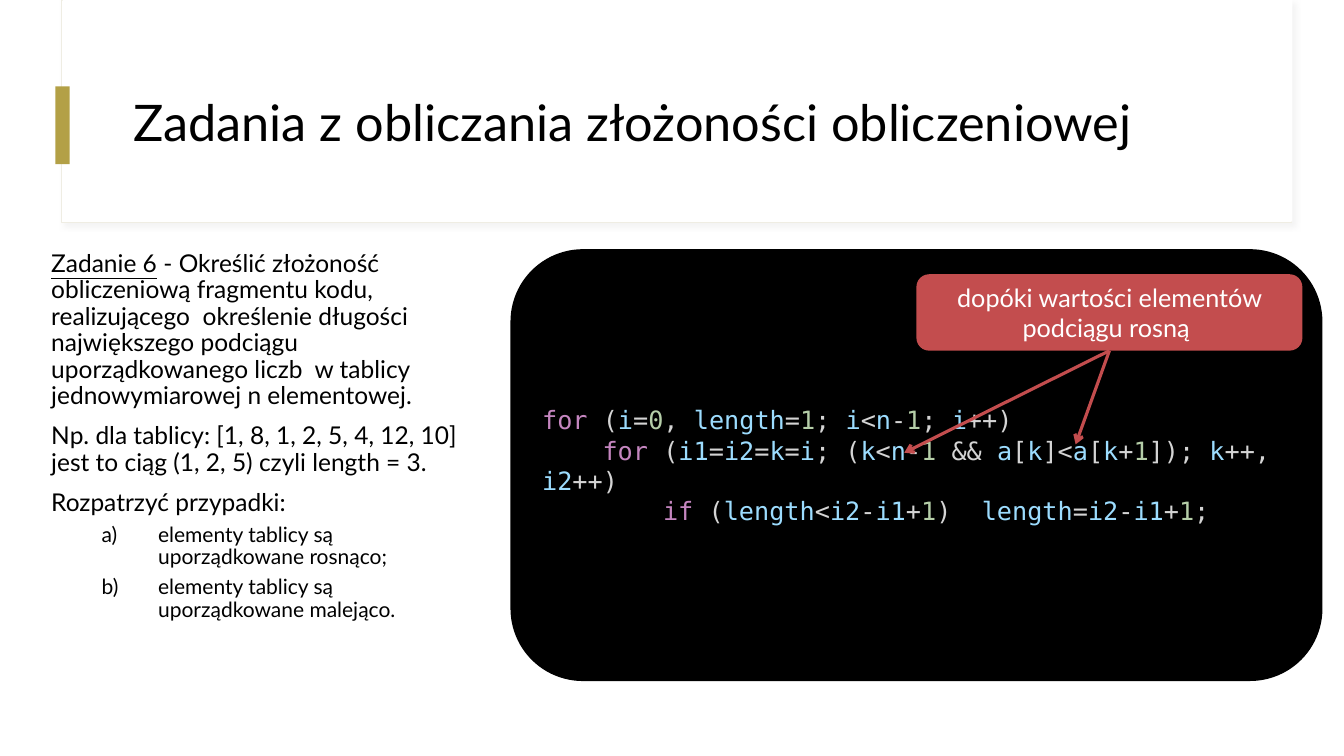
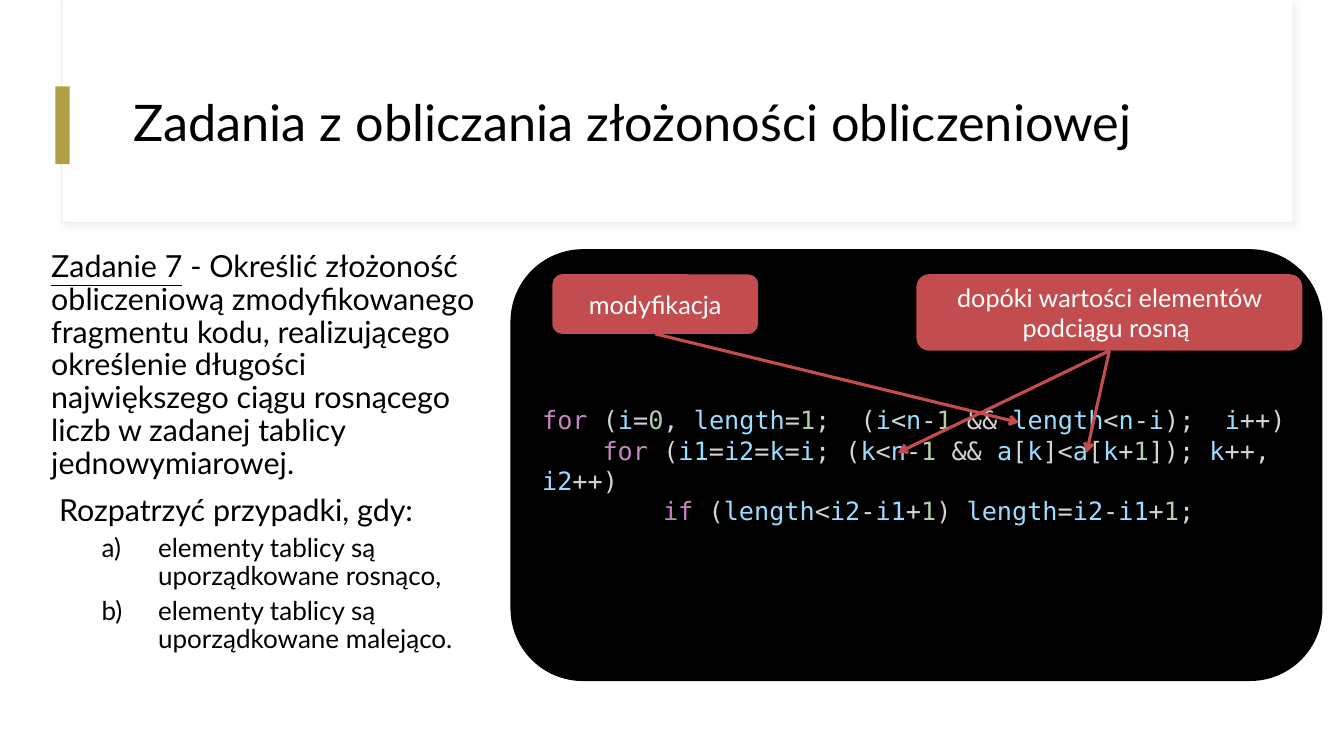
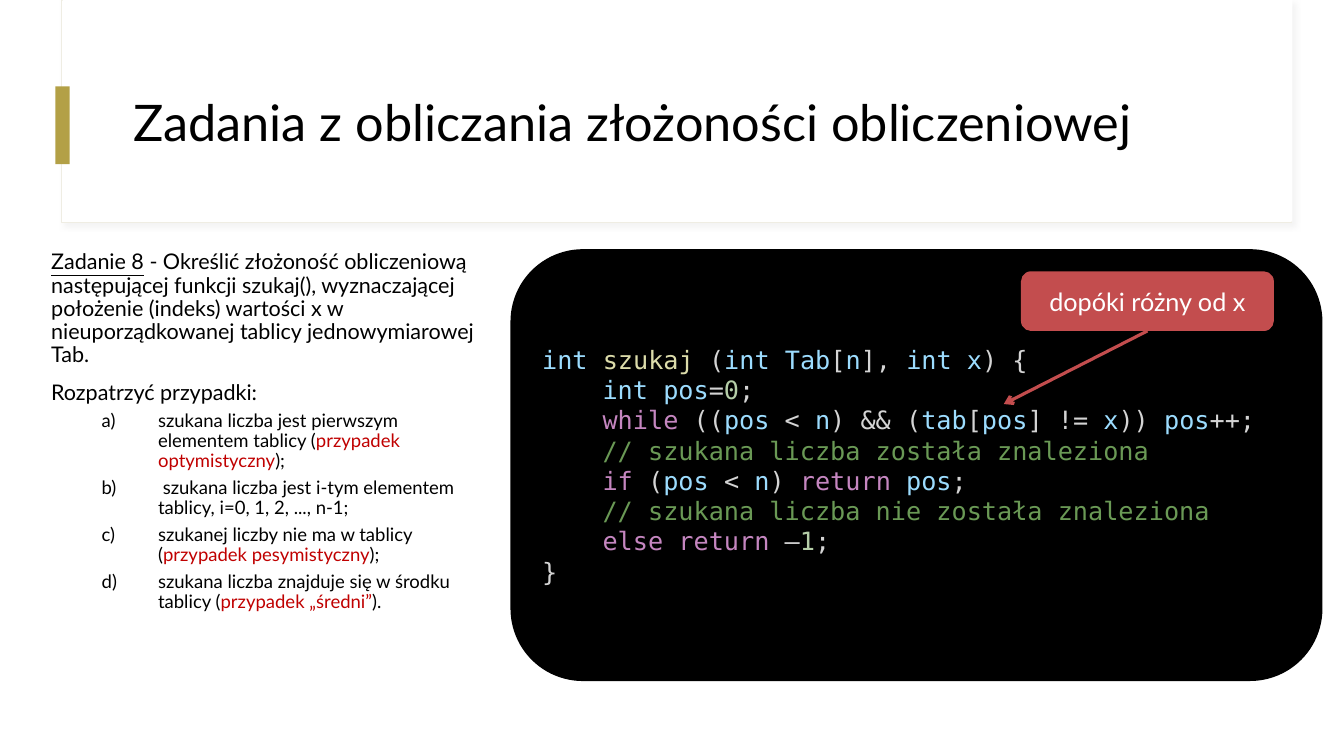
import itertools

import pptx
import pptx.dml.color
import pptx.enum.shapes
import pptx.enum.text
import pptx.oxml
import pptx.oxml.ns
import pptx.util

COLORS = {
    "paper": "FFFFFF", "ink": "000000", "accent": "B3A046", "frame": "EFEDE3",
    "callout": "C34D4E", "case": "C00000",
    "keyword": "C586C0", "name": "9CDCFE", "number": "B5CEA8",
    "symbol": "D4D4D4", "function": "DCDCAA", "comment": "6A9955",
}
TEXT_FONT, CODE_FONT = "Lato", "DejaVu Sans Mono"
COLUMNS, ROWS = 32, 18
TITLE = "Zadania z obliczania złożoności obliczeniowej"
KEYWORDS = {"for", "if", "while", "return", "else"}
FUNCTIONS = {"szukaj"}
DRAWING = 'xmlns:a="http://schemas.openxmlformats.org/drawingml/2006/main"'
SHADOW = (f'<a:effectLst {DRAWING}><a:outerShdw blurRad="50800" dist="38100" dir="2700000">'
          '<a:srgbClr val="D9D9D9"><a:alpha val="30000"/></a:srgbClr>'
          '</a:outerShdw></a:effectLst>')


def color(name):
    return pptx.dml.color.RGBColor.from_string(COLORS[name])


def add_span(para, text, size=18, font=TEXT_FONT, ink="ink", underline=None):
    span = para.add_run()
    span.text = text
    span.font.size = pptx.util.Pt(size)
    span.font.name = font
    span.font.underline = underline
    span.font.color.rgb = color(ink)


def code_tokens(line):
    """Yield (text, colour name) pairs for one line of code."""
    if line.startswith("//"):
        yield line, "comment"
        return
    for is_word, letters in itertools.groupby(line, str.isalnum):
        token = "".join(letters)
        if not is_word:
            yield token, "symbol"
        elif token.isdigit():
            yield token, "number"
        elif token in KEYWORDS:
            yield token, "keyword"
        else:
            yield token, "function" if token in FUNCTIONS else "name"


class TaskDeck:
    """Holds the shared style and the current slide."""

    def __init__(self):
        self.deck = pptx.Presentation()
        self.deck.slide_width = pptx.util.Inches(13.33)
        self.deck.slide_height = pptx.util.Inches(7.5)
        self.layout = self.deck.slide_layouts[1]
        self.page = None
        self.place_layout()

    def col(self, count):
        return round(self.deck.slide_width * count / COLUMNS)

    def row(self, count):
        return round(self.deck.slide_height * count / ROWS)

    def area(self, left, top, width, height):
        return self.col(left), self.row(top), self.col(width), self.row(height)

    def place_layout(self):
        """Set the title and body places and drop the unused footers."""
        places = {0: (2.93, 1.44, 26.69, 3.1), 1: (0.98, 5.86, 10.8, 10.25)}
        for holder in list(self.layout.placeholders):
            index = holder.placeholder_format.idx
            if index in places:
                (holder.left, holder.top,
                 holder.width, holder.height) = self.area(*places[index])
            else:
                holder.element.getparent().remove(holder.element)

    def add_header(self):
        """Draw the title frame and accent bar, then hand them to the layout."""
        frame = self.add_box(1.46, 0, 29.3, 5.3, fill="paper", line="frame", line_width=0.75)
        effects = frame.element.spPr.find(pptx.oxml.ns.qn("a:effectLst"))
        frame.element.spPr.replace(effects, pptx.oxml.parse_xml(SHADOW))
        cover = self.add_box(1.49, 0, 29.28, 5.28, fill="paper")
        bar = self.add_box(1.32, 2.06, 0.34, 1.85, fill="accent")
        for position, box in enumerate((frame, cover, bar), start=2):
            self.layout.shapes.element.insert(position, box.element)

    def add_page(self):
        first = self.page is None
        self.page = self.deck.slides.add_slide(self.layout)
        if first:
            self.add_header()
        frame = self.page.shapes.title.text_frame
        frame.auto_size = pptx.enum.text.MSO_AUTO_SIZE.NONE
        frame.vertical_anchor = pptx.enum.text.MSO_ANCHOR.MIDDLE
        para = frame.paragraphs[0]
        para.alignment = pptx.enum.text.PP_ALIGN.LEFT
        para.line_spacing = 0.9
        add_span(para, TITLE, size=36)

    def add_box(self, left, top, width, height, fill, line=None, line_width=1, rounded=False):
        kinds = pptx.enum.shapes.MSO_SHAPE
        box = self.page.shapes.add_shape(
            kinds.ROUNDED_RECTANGLE if rounded else kinds.RECTANGLE,
            *self.area(left, top, width, height))
        box.shadow.inherit = False
        box.fill.solid()
        box.fill.fore_color.rgb = color(fill)
        if line:
            box.line.color.rgb = color(line)
            box.line.width = pptx.util.Pt(line_width)
        else:
            box.line.fill.background()
        box.text_frame.vertical_anchor = pptx.enum.text.MSO_ANCHOR.MIDDLE
        return box

    def add_body_para(self, spans, size, lettered=False):
        frame = self.page.placeholders[1].text_frame
        para = frame.paragraphs[0] if not frame.text else frame.add_paragraph()
        para.level = 1 if lettered else 0
        para.line_spacing = 0.9
        para.space_before = pptx.util.Pt(5 if lettered else 10)
        margin, indent = (1.06, -0.56) if lettered else (0, 0)
        marks = para._p.get_or_add_pPr()
        marks.set("marL", str(pptx.util.Inches(margin)))
        marks.set("indent", str(pptx.util.Inches(indent)))
        bullet = 'buAutoNum type="alphaLcParenR"' if lettered else "buNone"
        marks.append(pptx.oxml.parse_xml(f"<a:{bullet} {DRAWING}/>"))
        for text, options in spans:
            add_span(para, text, size=size, **options)

    def add_task(self, label, task, notes, cases, size, case_size):
        """Fill the body: underlined label, task text, notes, lettered cases."""
        frame = self.page.placeholders[1].text_frame
        frame.auto_size = pptx.enum.text.MSO_AUTO_SIZE.NONE
        self.add_body_para([(label, {"underline": True}), (task, {})], size)
        for note in notes:
            self.add_body_para([(note, {})], size)
        for case in cases:
            # Every second part of a case is highlighted
            spans = [(text, {"ink": "case" if i % 2 else "ink"}) for i, text in enumerate(case)]
            self.add_body_para(spans, case_size, lettered=True)

    def add_code(self, lines):
        """Draw the code panel from (indent level, text) lines."""
        panel = self.add_box(12.17, 5.95, 19.3, 10.25, fill="ink", line="ink", rounded=True)
        frame = panel.text_frame
        for number, (level, line) in enumerate(lines):
            para = frame.add_paragraph() if number else frame.paragraphs[0]
            para.alignment = pptx.enum.text.PP_ALIGN.LEFT
            para._p.get_or_add_pPr().set("indent", str(pptx.util.Inches(0.6 * level)))
            for token, ink in code_tokens(line):
                add_span(para, token, font=CODE_FONT, ink=ink)

    def add_callout(self, text, place, targets):
        """Draw a note with arrows from its bottom centre to the targets."""
        box = self.add_box(*place, fill="callout", rounded=True)
        para = box.text_frame.paragraphs[0]
        para.alignment = pptx.enum.text.PP_ALIGN.CENTER
        add_span(para, text, ink="paper")
        for left, top in targets:
            arrow = self.page.shapes.add_connector(
                pptx.enum.shapes.MSO_CONNECTOR.STRAIGHT,
                box.left, box.top, self.col(left), self.row(top))
            arrow.begin_connect(box, 2)
            arrow.line.color.rgb = color("callout")
            arrow.line.width = pptx.util.Pt(2.25)
            arrow.line._get_or_add_ln().append(
                pptx.oxml.parse_xml(f'<a:tailEnd {DRAWING} type="arrow"/>'))
            arrow._element.spPr.append(pptx.oxml.parse_xml(f"<a:effectLst {DRAWING}/>"))


RISING = "dopóki wartości elementów podciągu rosną "
RISING_PLACE = (21.82, 6.53, 9.19, 1.82)
INNER_LOOP = (1, "for (i1=i2=k=i; (k<n-1 && a[k]<a[k+1]); k++, i2++)")


def main():
    tasks = TaskDeck()

    # Task 6
    tasks.add_page()
    tasks.add_task(
        "Zadanie 6",
        " - Określić złożoność obliczeniową fragmentu kodu, realizującego  określenie długości "
        "największego podciągu uporządkowanego liczb  w tablicy jednowymiarowej n elementowej.",
        ["Np. dla tablicy: [1, 8, 1, 2, 5, 4, 12, 10] jest to ciąg (1, 2, 5) czyli length = 3.",
         "Rozpatrzyć przypadki:"],
        [["elementy tablicy są uporządkowane rosnąco;"],
         ["elementy tablicy są uporządkowane malejąco."]],
        size=17.5, case_size=15)
    tasks.add_code([
        (0, "for (i=0, length=1; i<n-1; i++)"),
        INNER_LOOP,
        (2, "if (length<i2-i1+1)  length=i2-i1+1;"),
    ])
    tasks.add_callout(RISING, RISING_PLACE, [(25.61, 10.58), (21.53, 10.78)])

    # Task 7
    tasks.add_page()
    tasks.add_task(
        "Zadanie 7",
        " - Określić złożoność obliczeniową zmodyfikowanego fragmentu kodu, realizującego "
        "określenie długości największego ciągu rosnącego liczb w zadanej tablicy "
        "jednowymiarowej.",
        [" Rozpatrzyć przypadki, gdy:"],
        [["elementy tablicy są uporządkowane rosnąco,"],
         ["elementy tablicy są uporządkowane malejąco."]],
        size=21.7, case_size=18.6)
    tasks.add_code([
        (0, "for (i=0, length=1;  (i<n-1 && length<n-i);  i++)"),
        INNER_LOOP,
        (2, "if (length<i2-i1+1) length=i2-i1+1;"),
    ])
    tasks.add_callout(RISING, RISING_PLACE, [(25.87, 10.78), (21.38, 10.78)])
    tasks.add_callout("modyfikacja", (13.15, 6.53, 4.9, 1.42), [(24.26, 10.06)])

    # Task 8
    tasks.add_page()
    tasks.add_task(
        "Zadanie 8",
        " - Określić złożoność obliczeniową następującej funkcji szukaj(), wyznaczającej "
        "położenie (indeks) wartości x w nieuporządkowanej tablicy jednowymiarowej Tab.",
        ["Rozpatrzyć przypadki:"],
        [["szukana liczba jest pierwszym elementem tablicy (", "przypadek optymistyczny", ");"],
         [" szukana liczba jest i-tym elementem tablicy, i=0, 1, 2, ..., n-1;"],
         ["szukanej liczby nie ma w tablicy (", "przypadek pesymistyczny", ");"],
         ["szukana liczba znajduje się w środku tablicy (", "przypadek „średni”", ")."]],
        size=15.4, case_size=13.2)
    tasks.add_code([
        (0, "int szukaj (int Tab[n], int x) {"),
        (1, "int pos=0;"),
        (1, "while ((pos < n) && (tab[pos] != x)) pos++;"),
        (1, "// szukana liczba została znaleziona"),
        (1, "if (pos < n) return pos;"),
        (1, "// szukana liczba nie została znaleziona"),
        (1, "else return –1;"),
        (0, "}"),
    ])
    tasks.add_callout("dopóki różny od x", (24.31, 6.46, 6.02, 1.42), [(23.9, 9.62)])

    tasks.deck.save("out.pptx")


if __name__ == "__main__":
    main()
